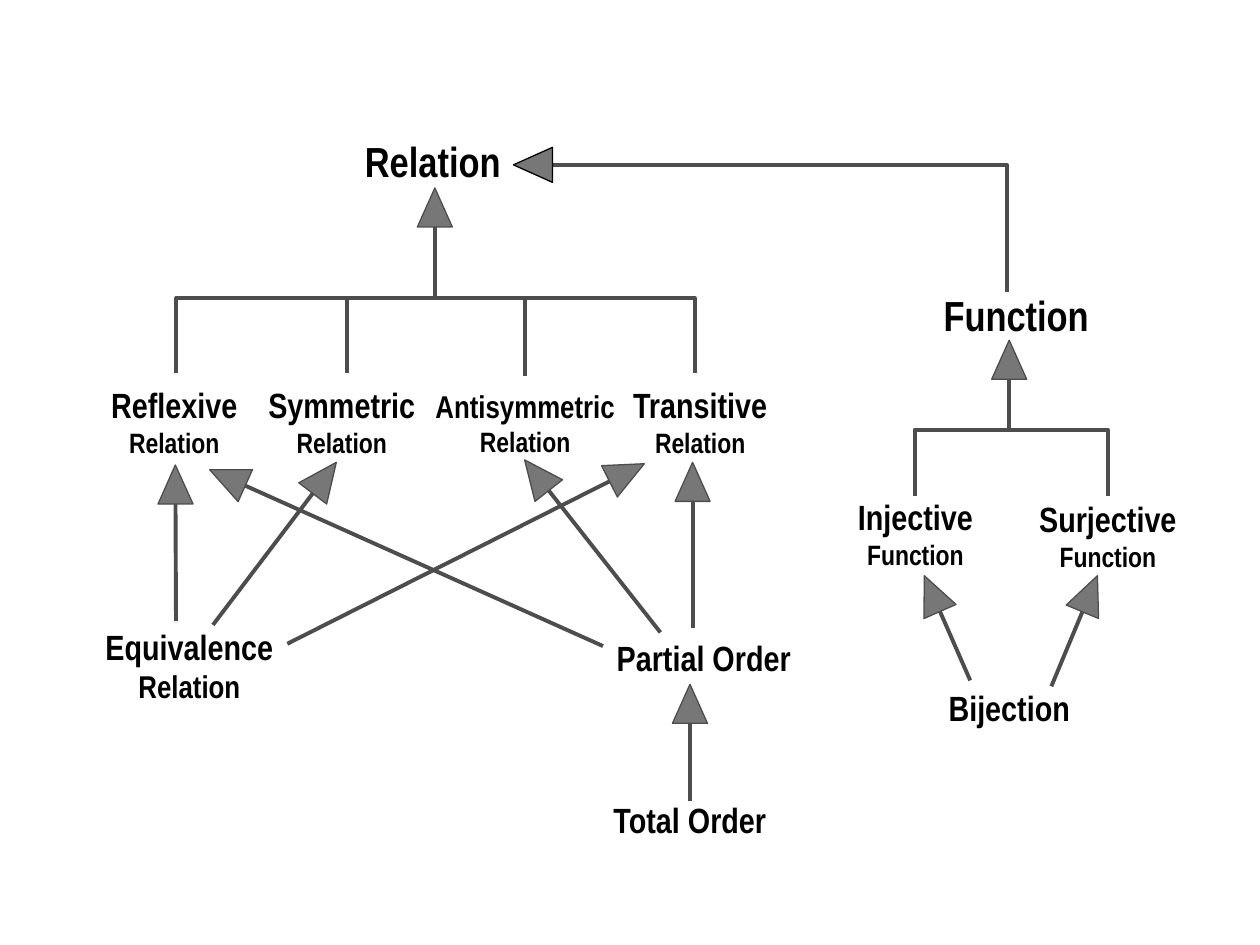
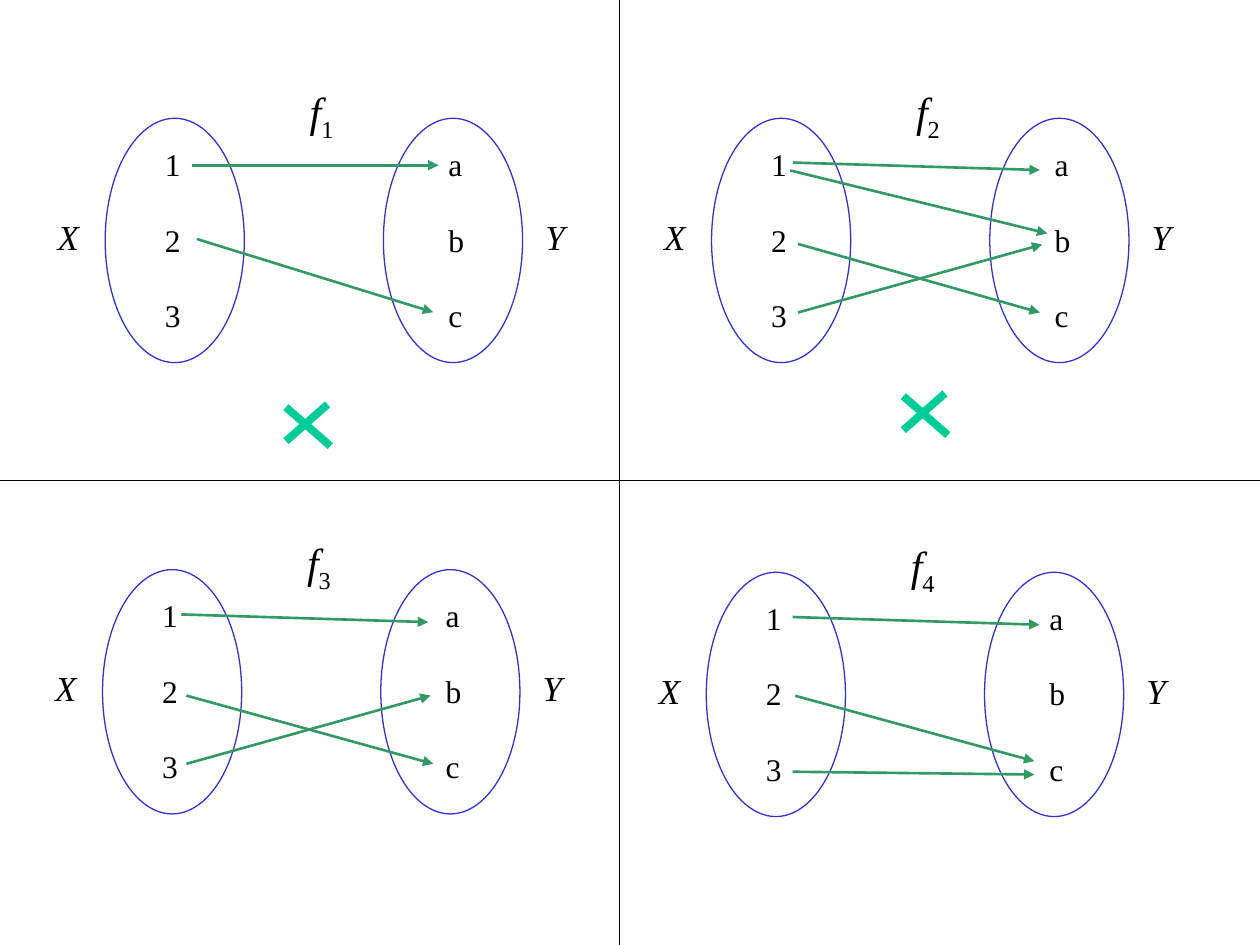
import math
from dataclasses import dataclass

from lxml import etree
from pptx import Presentation
from pptx.dml.color import RGBColor
from pptx.enum.shapes import MSO_CONNECTOR, MSO_SHAPE
from pptx.enum.text import MSO_AUTO_SIZE, PP_ALIGN
from pptx.oxml.ns import qn
from pptx.util import Pt

STRAIGHT = MSO_CONNECTOR.STRAIGHT
TRIANGLE = MSO_SHAPE.ISOSCELES_TRIANGLE
BRACKET = MSO_SHAPE.LEFT_BRACKET
OVAL = MSO_SHAPE.OVAL
CENTER, LEFT = PP_ALIGN.CENTER, PP_ALIGN.LEFT
GROW = MSO_AUTO_SIZE.SHAPE_TO_FIT_TEXT


@dataclass(frozen=True)
class Theme:
    tree_font: str = "Arial Narrow"
    set_font: str = "Times New Roman"
    text: str = "000000"
    branch: str = "4D4D4D"
    head: str = "777777"
    oval: str = "3333CC"
    mapping: str = "339966"
    cross: str = "00CC99"
    root_size: float = 24
    node_size: float = 20
    small_size: float = 18
    kind_size: float = 16
    thin: float = 0.75
    mapping_width: float = 1.5
    branch_width: float = 2.25
    cross_width: float = 4.5


THEME = Theme()
HEAD_WIDTH, HEAD_HEIGHT = 20, 22.3


@dataclass(frozen=True)
class Box:
    left: float
    top: float
    width: float
    height: float

    def point(self, x, y):
        return self.left + x, self.top + y

    def inner(self, x, y, width, height):
        return Box(self.left + x, self.top + y, width, height)


# Shared drawing helpers
def set_line(line, color, width):
    line.color.rgb = RGBColor.from_string(color)
    line.width = Pt(width)


def add_line(shapes, start, end, color, width, arrow=False):
    line = shapes.add_connector(STRAIGHT, *(Pt(v) for v in (*start, *end)))
    set_line(line.line, color, width)
    if arrow:
        etree.SubElement(line.line._get_or_add_ln(), qn("a:tailEnd"), type="triangle")
    etree.SubElement(line._element.spPr, qn("a:effectLst"))


def style_shape(shape, color, width, fill=None):
    shape.shadow.inherit = False
    if fill:
        shape.fill.solid()
        shape.fill.fore_color.rgb = RGBColor.from_string(fill)
    else:
        shape.fill.background()
    set_line(shape.line, color, width)


def add_outline(shapes, preset, box, color, width, fill=None):
    shape = shapes.add_shape(preset, Pt(box.left), Pt(box.top), Pt(box.width), Pt(box.height))
    style_shape(shape, color, width, fill)
    return shape


def add_text(shapes, box, align=LEFT):
    label = shapes.add_textbox(Pt(box.left), Pt(box.top), Pt(box.width), Pt(box.height))
    frame = label.text_frame
    frame.word_wrap = False
    frame.auto_size = GROW
    frame.paragraphs[0].alignment = align
    return frame


def add_span(para, text, size, font, bold=False, italic=False):
    span = para.add_run()
    span.text = text
    span.font.name = font
    span.font.size = Pt(size)
    span.font.bold = bold
    span.font.italic = italic
    span.font.color.rgb = RGBColor.from_string(THEME.text)
    return span


# Parts of the hierarchy
def add_node(shapes, box, name, size, kind=None, kind_size=THEME.kind_size):
    frame = add_text(shapes, box, CENTER)
    add_span(frame.paragraphs[0], name, size, THEME.tree_font, bold=True)
    if kind:
        para = frame.add_paragraph()
        para.alignment = CENTER
        add_span(para, kind, kind_size, THEME.tree_font, bold=True)


def add_head(shapes, tip, angle, outline=THEME.branch):
    """Triangle whose apex is at tip; angle is clockwise from straight up."""
    turn = math.radians(angle)
    center_x = tip[0] - math.sin(turn) * HEAD_HEIGHT / 2
    center_y = tip[1] + math.cos(turn) * HEAD_HEIGHT / 2
    box = Box(center_x - HEAD_WIDTH / 2, center_y - HEAD_HEIGHT / 2, HEAD_WIDTH, HEAD_HEIGHT)
    head = add_outline(shapes, TRIANGLE, box, outline, THEME.thin, THEME.head)
    head.rotation = angle


def add_branch(shapes, start, tip):
    """Line to a parent, ending inside its triangle head."""
    dx, dy = tip[0] - start[0], tip[1] - start[1]
    reach = 1 - 4 / math.hypot(dx, dy)
    end = start[0] + dx * reach, start[1] + dy * reach
    add_line(shapes, start, end, THEME.branch, THEME.branch_width)
    add_head(shapes, tip, math.degrees(math.atan2(dx, -dy)) % 360)


def add_fork(shapes, box):
    """Bracket open at the bottom: a left bracket turned a quarter."""
    upright = Box(box.left + (box.width - box.height) / 2,
                  box.top + (box.height - box.width) / 2, box.height, box.width)
    fork = add_outline(shapes, BRACKET, upright, THEME.branch, THEME.branch_width)
    fork.adjustments[0] = 0
    fork.rotation = 90


def add_tree(shapes, box, nodes, fork, stems, branches):
    for place, *words in nodes:
        add_node(shapes, box.inner(*place), *words)
    add_fork(shapes, box.inner(*fork))
    for x, length in stems:
        start, end = box.point(x, fork[1]), box.point(x, fork[1] + length)
        add_line(shapes, start, end, THEME.branch, THEME.branch_width)
    for start, tip in branches:
        add_branch(shapes, box.point(*start), box.point(*tip))


def add_elbow(shapes, start, corner, end):
    builder = shapes.build_freeform(Pt(start[0]), Pt(start[1]))
    builder.add_line_segments([(Pt(x), Pt(y)) for x, y in (corner, end)], close=False)
    style_shape(builder.convert_to_shape(), THEME.branch, THEME.branch_width)
    add_head(shapes, (start[0] - 8.3, start[1]), 270, THEME.text)


ROOT, NODE, SMALL = THEME.root_size, THEME.node_size, THEME.small_size
RELATION_TREE = dict(
    nodes=[
        ((151, 3.8, 92.6, 36), "Relation", ROOT),
        ((6.2, 145.9, 86.8, 50.4), "Reflexive", NODE, "Relation"),
        ((95.8, 145.7, 99, 50.4), "Symmetric", NODE, "Relation"),
        ((191.2, 147.4, 117.8, 48.2), "Antisymmetric", SMALL, "Relation"),
        ((303.8, 145.5, 92.6, 50.4), "Transitive", NODE, "Relation"),
        ((295.2, 290.4, 114, 31), "Partial Order", NODE),
        ((292.5, 383, 103.4, 31), "Total Order", NODE),
        ((3, 283.8, 110.4, 52.6), "Equivalence", NODE, "Relation", SMALL),
    ],
    fork=(50.8, 100.3, 296.2, 43),
    stems=[(148.2, 42.8), (250.2, 44.6)],
    branches=[
        ((198.5, 100.6), (198.5, 37.4)),   # properties to relation
        ((50.6, 285), (50.2, 195.7)),      # equivalence to reflexive
        ((71.7, 287.1), (142.2, 194.2)),   # equivalence to symmetric
        ((114.2, 297.9), (318.2, 195)),    # equivalence to transitive
        ((345.8, 288.6), (345.8, 194.2)),  # partial order to transitive
        ((327.4, 291.4), (249.8, 192.8)),  # partial order to antisymmetric
        ((294.6, 299.2), (69.8, 198.4)),   # partial order to reflexive
        ((344.3, 387.9), (344.3, 321)),    # total to partial order
    ],
)
FUNCTION_TREE = dict(
    nodes=[
        ((50.7, 2, 100, 36), "Function", ROOT),
        ((1.6, 119.4, 83, 50.4), "Injective", NODE, "Function"),
        ((106.3, 120.8, 93.6, 50.4), "Surjective", NODE, "Function"),
        ((53.5, 228.8, 86.5, 31), "Bijection", NODE),
    ],
    fork=(42.7, 85.5, 110.2, 38.2),
    stems=[],
    branches=[
        ((96.7, 86.2), (96.7, 34.4)),      # kinds to function
        ((74.4, 228.8), (48.2, 169)),      # bijection to injective
        ((120.8, 232.2), (147.1, 169)),    # bijection to surjective
    ],
)


def build_hierarchy(page):
    add_tree(page.shapes, Box(50, 70, 410, 420), **RELATION_TREE)
    add_tree(page.shapes, Box(480, 160, 200, 260), **FUNCTION_TREE)
    add_elbow(page.shapes, (301.7, 94.2), (575.3, 94.2), (575.3, 167))


# Parts of the mapping slide
def add_mapping(page, box, number, arrows, cross=None):
    """Two sets, their names, and the arrows between their members."""
    shapes = page.shapes.add_group_shape().shapes
    for shift, members in ((0, "123"), (162, "abc")):
        frame = add_text(shapes, box.inner(61.2 + shift, 33.9, 23.8, 115.2))
        for index, member in enumerate(members):
            para = frame.add_paragraph() if index else frame.paragraphs[0]
            if index:
                para.space_before = Pt(21.6)
            add_span(para, member, SMALL, THEME.set_font)
    for x in (34.2, 193.2):
        add_outline(shapes, OVAL, box.inner(x, 22.2, 79.5, 139.6), THEME.oval, THEME.thin)
    for x, name in ((0, "X"), (278.6, "Y")):
        frame = add_text(shapes, box.inner(x, 74.2, 26.4, 31))
        add_span(frame.paragraphs[0], name, NODE, THEME.set_font, italic=True)
    para = add_text(shapes, box.inner(144, 0, 28.8, 36)).paragraphs[0]
    add_span(para, "f", ROOT, THEME.set_font, italic=True)
    index = add_span(para, number, ROOT, THEME.set_font)
    index._r.get_or_add_rPr().set("baseline", "-25000")
    for start, end in arrows:
        add_line(page.shapes, box.point(*start), box.point(*end),
                 THEME.mapping, THEME.mapping_width, arrow=True)
    if cross:
        add_cross(page, box.inner(*cross, 25.2, 23.8))


def add_cross(page, box):
    shapes = page.shapes.add_group_shape().shapes
    for start, end in (((0, 1.6), (25.4, 23.8)), ((0, 21), (23.8, 0))):
        add_line(shapes, box.point(*start), box.point(*end), THEME.cross, THEME.cross_width)


MAPPINGS = [
    ((25.9, 45.4), [((83.7, 49), (224.7, 49)),
                    ((86.6, 91.2), (221.6, 133))], (137.5, 185.7)),
    ((372.4, 45.4), [((80.7, 47.5), (221.8, 51.8)),
                     ((83.6, 94), (221.8, 133.2)),
                     ((83.6, 133.2), (223.2, 94.3)),
                     ((79.2, 52), (226.1, 88)), ], (143.8, 179.4)),
    ((24.4, 303.3), [((79.2, 47.8), (220.3, 52.2)),
                     ((82.1, 94.2), (223.2, 133.2)),
                     ((82.1, 133.2), (221.7, 94.2))], None),
    ((369.4, 304.8), [((83.5, 47.8), (224.6, 52.2)),
                      ((85, 92.8), (221.7, 130.2)),
                      ((83.5, 136.2), (221.7, 137.8))], None),
]


def build_mappings(page):
    for number, (corner, arrows, cross) in enumerate(MAPPINGS, 1):
        add_mapping(page, Box(*corner, 305, 162), str(number), arrows, cross)
    # Quadrant dividers
    for start, end in (((354.2, 0), (354.2, 540)), ((0, 274.4), (720, 274.4))):
        add_line(page.shapes, start, end, THEME.text, THEME.thin)


deck = Presentation()
deck.slide_width, deck.slide_height = Pt(720), Pt(540)
for build in (build_hierarchy, build_mappings):
    build(deck.slides.add_slide(deck.slide_layouts[6]))
deck.save("out.pptx")
